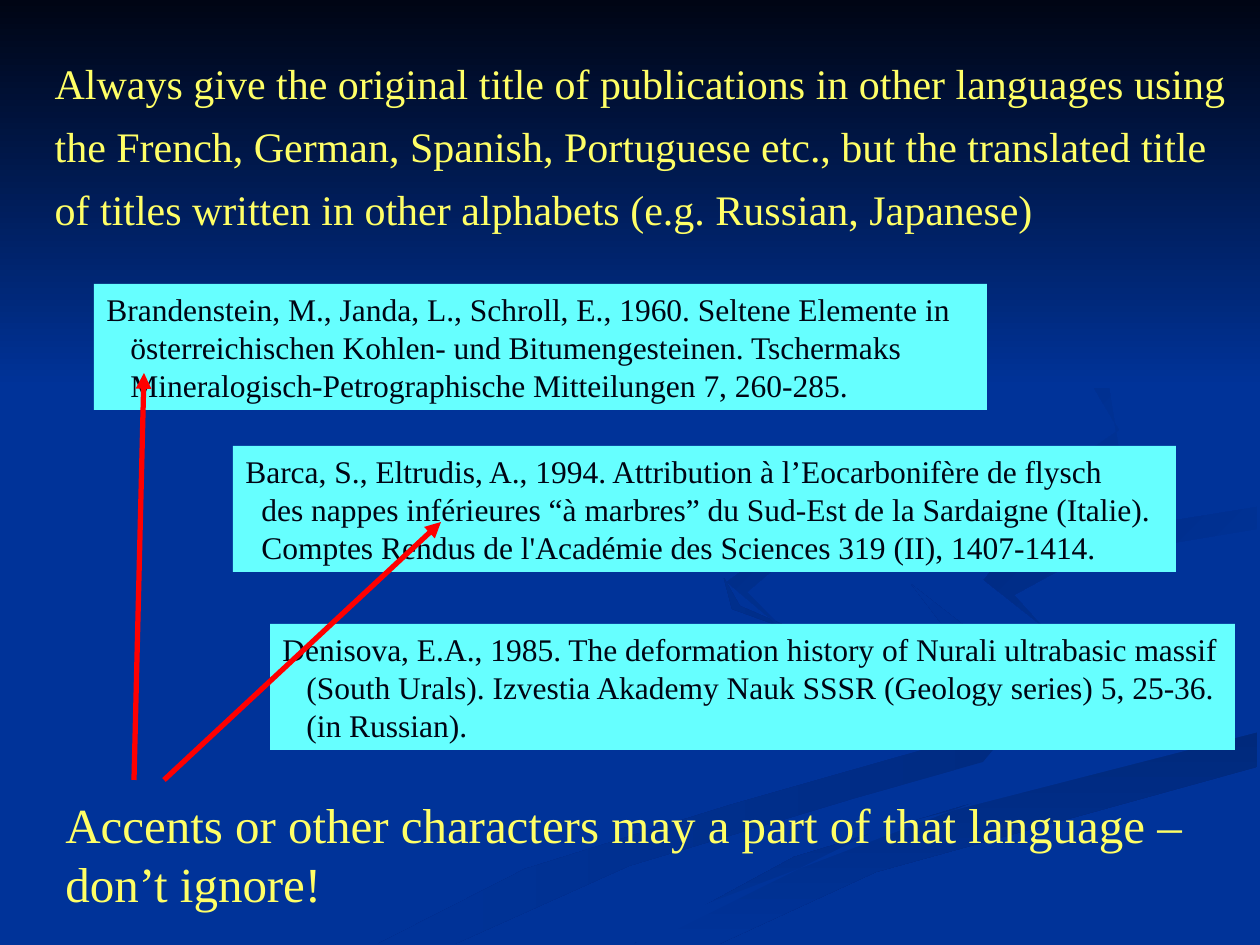
"""Build a slide on citing foreign-language titles in reference lists."""
from lxml import etree
from pptx import Presentation
from pptx.dml.color import RGBColor
from pptx.enum.shapes import MSO_CONNECTOR, MSO_SHAPE
from pptx.enum.text import MSO_ANCHOR, MSO_AUTO_SIZE, PP_ALIGN
from pptx.oxml.ns import qn
from pptx.util import Emu, Pt

PX = 914400 / 126
STRAIGHT = MSO_CONNECTOR.STRAIGHT
RECTANGLE = MSO_SHAPE.RECTANGLE
MIDDLE, TOP = MSO_ANCHOR.MIDDLE, MSO_ANCHOR.TOP
NO_FIT, GROW = MSO_AUTO_SIZE.NONE, MSO_AUTO_SIZE.SHAPE_TO_FIT_TEXT
LEFT = PP_ALIGN.LEFT

FONT = "Times New Roman"
BLUE = RGBColor(0x00, 0x33, 0x99)
NIGHT = RGBColor(0x00, 0x05, 0x14)
SHADE = RGBColor(0x00, 0x2B, 0x82)
DUSK = RGBColor(0x00, 0x29, 0x7C)
CYAN = RGBColor(0x66, 0xFF, 0xFF)
YELLOW = RGBColor(0xFF, 0xFF, 0x66)
RED = RGBColor(0xFF, 0x00, 0x00)

TITLE = ("Always give the original title of publications in other languages using "
         "the French, German, Spanish, Portuguese etc., but the translated title "
         "of titles written in other alphabets (e.g. Russian, Japanese)")
TITLE_AREA = (42, 21, 1218, 236)
ADVICE = "Accents or other characters may a part of that language – don’t ignore!"
ADVICE_AREA = (53, 788, 1164, 131)

REFERENCES = [
    ((270, 624, 965, 126), 24, [
        "Denisova, E.A., 1985. The deformation history of Nurali ultrabasic massif",
        "(South Urals). Izvestia Akademy Nauk SSSR (Geology series) 5, 25-36.",
        "(in Russian)."]),
    ((94, 284, 893, 126), 24, [
        "Brandenstein, M., Janda, L., Schroll, E., 1960. Seltene Elemente in",
        "österreichischen Kohlen- und Bitumengesteinen. Tschermaks",
        "Mineralogisch-Petrographische Mitteilungen 7, 260-285."]),
    ((233, 446, 943, 126), 16, [
        "Barca, S., Eltrudis, A., 1994. Attribution à l’Eocarbonifère de flysch",
        "des nappes inférieures “à marbres” du Sud-Est de la Sardaigne (Italie).",
        "Comptes Rendus de l'Académie des Sciences 319 (II), 1407-1414."]),
]
ARROWS = [((134, 780), (144, 373)), ((164, 780), (441, 522))]

BACKDROP = [
    (SHADE, BLUE, 180, [
        (984, 697), (833, 646), (740, 606), (724, 578), (732, 609), (878, 662), (984, 701),
        (975, 735), (730, 805), (525, 869), (378, 944), (455, 944), (629, 866), (852, 799),
        (983, 762), (1008, 732)]),
    (SHADE, BLUE, 225, [
        (1188, 718), (1140, 680), (975, 634), (912, 585), (951, 636), (1094, 685),
        (1157, 732), (1126, 762), (1174, 742)]),
    (DUSK, BLUE, 90, [
        (634, 944), (719, 944), (876, 872), (1257, 767), (1257, 732), (963, 806),
        (794, 857)]),
    (BLUE, BLUE, 0, [
        (914, 585), (977, 634), (1159, 689), (1187, 730), (983, 799), (601, 944),
        (654, 941), (877, 830), (1259, 732), (1259, 678), (1068, 634), (984, 583),
        (1090, 534), (1259, 507), (1259, 488), (1018, 525)]),
    (BLUE, SHADE, 225, [
        (984, 580), (1041, 625), (1014, 595), (1082, 558), (1257, 529), (1257, 507),
        (1090, 534), (997, 563)]),
    (BLUE, SHADE, 225, [
        (861, 542), (1040, 507), (1120, 456), (1109, 387), (1034, 329), (960, 294),
        (1077, 359), (1119, 430), (1046, 481), (788, 537), (727, 582), (784, 630),
        (747, 592), (786, 559)]),
    (NIGHT, BLUE, 90, [(0, 0), (0, 388), (1260, 388), (1260, 0)]),
]


def px(value):
    return Emu(round(value * PX))


def lengths(area):
    return [px(value) for value in area]


def add_backdrop(page, start, end, angle, points):
    outline = page.shapes.build_freeform(*points[0], scale=PX)
    outline.add_line_segments(points[1:], close=True)
    shape = outline.convert_to_shape()
    shape.shadow.inherit = False
    shape.line.fill.background()
    if start == end:
        shape.fill.solid()
        shape.fill.fore_color.rgb = start
        return
    shape.fill.gradient()
    shape.fill.gradient_angle = (360 - angle) % 360
    for stop, color, position in zip(shape.fill.gradient_stops, (start, end), (0, 1)):
        stop.color.rgb = color
        stop.position = position


def write(box, lines, size, color, anchor=TOP, fit=GROW, indent=0, spacing=None):
    frame = box.text_frame
    frame.word_wrap = True
    frame.auto_size = fit
    frame.vertical_anchor = anchor
    for index, line in enumerate(lines):
        para = frame.add_paragraph() if index else frame.paragraphs[0]
        para.alignment = LEFT
        para.line_spacing = spacing
        if index and indent:
            properties = para._p.get_or_add_pPr()
            properties.set("marL", str(px(indent)))
            properties.set("indent", "0")
        span = para.add_run()
        span.text = line
        span.font.name = FONT
        span.font.size = Pt(size)
        span.font.color.rgb = color


def add_reference(page, area, indent, lines):
    box = page.shapes.add_shape(RECTANGLE, *lengths(area))
    box.shadow.inherit = False
    box.fill.solid()
    box.fill.fore_color.rgb = CYAN
    box.line.fill.background()
    write(box, lines, 18, NIGHT, indent=indent)


def add_arrow(page, start, end):
    arrow = page.shapes.add_connector(STRAIGHT, *lengths(start + end))
    arrow.line.color.rgb = RED
    arrow.line.width = Pt(3)
    etree.SubElement(arrow.line._get_or_add_ln(), qn("a:tailEnd"), type="triangle")
    etree.SubElement(arrow._element.spPr, qn("a:effectLst"))


def main():
    deck = Presentation()
    deck.slide_width, deck.slide_height = px(1260), px(945)
    page = deck.slides.add_slide(deck.slide_layouts[5])
    page.background.fill.solid()
    page.background.fill.fore_color.rgb = BLUE

    for backdrop in BACKDROP:
        add_backdrop(page, *backdrop)
    for reference in REFERENCES:
        add_reference(page, *reference)
    for arrow in ARROWS:
        add_arrow(page, *arrow)
    write(page.shapes.add_textbox(*lengths(ADVICE_AREA)), [ADVICE], 28, YELLOW)

    title = page.shapes.title
    title.left, title.top, title.width, title.height = lengths(TITLE_AREA)
    write(title, [TITLE], 24, YELLOW, anchor=MIDDLE, fit=NO_FIT, spacing=1.25)
    page.shapes._spTree.append(title._element)
    deck.save("out.pptx")


if __name__ == "__main__":
    main()
